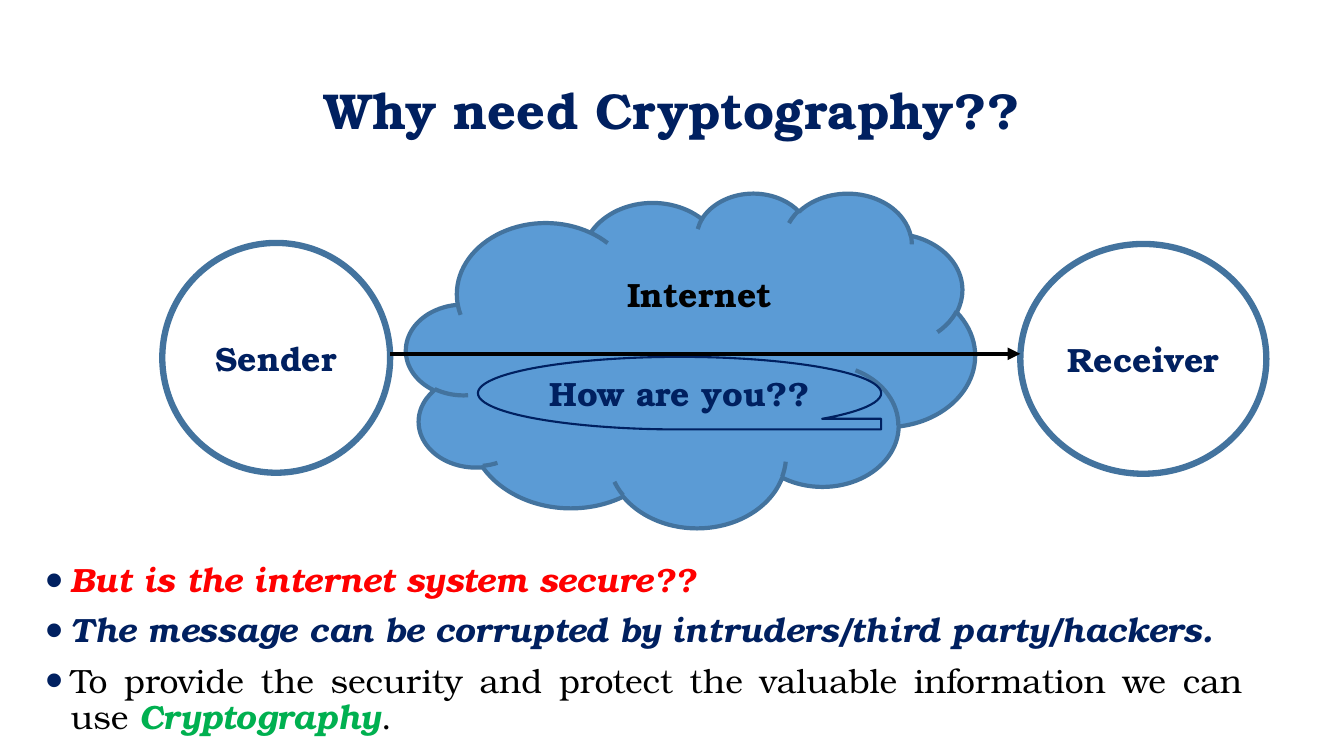
import pptx
import pptx.util
import pptx.dml.color
import pptx.enum.shapes
import pptx.enum.text
import pptx.oxml
import pptx.oxml.ns

Inches = pptx.util.Inches
Pt = pptx.util.Pt
SHAPE = pptx.enum.shapes.MSO_SHAPE
ALIGN = pptx.enum.text.PP_ALIGN
ANCHOR = pptx.enum.text.MSO_ANCHOR

COLORS = {
    "navy": "002060",
    "red": "FF0000",
    "green": "00B050",
    "black": "000000",
    "cloud": "5B9BD5",
    "outline": "43739E",
}
BASE_FONT = {"name": "TeX Gyre Bonum", "size": Pt(24), "bold": True, "italic": False}
EMPHASIS = {"italic": True}
PLAIN = {"bold": False}
BULLETS = [
    [("But is the internet system secure??", "red", EMPHASIS)],
    [("The message can be corrupted by intruders/third party/hackers.", "navy", EMPHASIS)],
    [
        ("To provide the security and protect the valuable information we can use ", "black", PLAIN),
        ("Cryptography", "green", EMPHASIS),
        (".", "black", PLAIN),
    ],
]


def rgb(color):
    return pptx.dml.color.RGBColor.from_string(COLORS[color])


def set_attrs(obj, values):
    for name, value in values.items():
        setattr(obj, name, value)


def place(sp, left, top, width, height):
    box = {"left": left, "top": top, "width": width, "height": height}
    set_attrs(sp, {name: Inches(value) for name, value in box.items()})


def add_run(p, text, color, **fmt):
    r = p.add_run()
    r.text = text
    set_attrs(r.font, {**BASE_FONT, **fmt})
    r.font.color.rgb = rgb(color)


def add_label(sp, text, color="navy", **fmt):
    tf = sp.text_frame
    set_attrs(tf, {"word_wrap": True, "vertical_anchor": ANCHOR.MIDDLE})
    p = tf.paragraphs[0]
    p.alignment = ALIGN.CENTER
    add_run(p, text, color, **fmt)


def add_figure(slide, kind, box, line, weight, fill=None, text=None):
    sp = slide.shapes.add_shape(kind, *map(Inches, box))
    sp.shadow.inherit = False
    if fill:
        sp.fill.solid()
        sp.fill.fore_color.rgb = rgb(fill)
    else:
        sp.fill.background()
    sp.line.color.rgb = rgb(line)
    sp.line.width = Pt(weight)
    if text:
        add_label(sp, text)


def add_arrow(slide, start, end, color, weight):
    points = map(Inches, (*start, *end))
    cxn = slide.shapes.add_connector(pptx.enum.shapes.MSO_CONNECTOR.STRAIGHT, *points)
    cxn.line.color.rgb = rgb(color)
    cxn.line.width = Pt(weight)
    ns = pptx.oxml.ns.nsdecls("a")
    ln = cxn.line._get_or_add_ln()
    ln.append(pptx.oxml.parse_xml(f'<a:tailEnd {ns} type="triangle"/>'))
    cxn._element.spPr.append(pptx.oxml.parse_xml(f"<a:effectLst {ns}/>"))


def set_bullet(p):
    pPr = p._p.get_or_add_pPr()
    set_attrs(pPr, {})
    pPr.set("marL", str(Inches(0.25)))
    pPr.set("indent", str(-Inches(0.25)))
    ns = pptx.oxml.ns.nsdecls("a")
    for xml in (
        f'<a:buClr {ns}><a:srgbClr val="{COLORS["navy"]}"/></a:buClr>',
        f'<a:buSzPct {ns} val="150000"/>',
        f'<a:buFont {ns} typeface="Arial"/>',
        f'<a:buChar {ns} char="•"/>',
    ):
        pPr.append(pptx.oxml.parse_xml(xml))


def fill_bullets(sp, bullets):
    tf = sp.text_frame
    set_attrs(tf, {"word_wrap": True, "auto_size": pptx.enum.text.MSO_AUTO_SIZE.NONE})
    for i, runs in enumerate(bullets):
        p = tf.add_paragraph() if i else tf.paragraphs[0]
        set_attrs(p, {
            "alignment": ALIGN.JUSTIFY,
            "line_spacing": 0.9,
            "space_before": Pt(10 if i else 0),
        })
        set_bullet(p)
        for text, color, fmt in runs:
            add_run(p, text, color, **fmt)


def main():
    prs = pptx.Presentation()
    set_attrs(prs, {"slide_width": Inches(13.33), "slide_height": Inches(7.5)})
    slide = prs.slides.add_slide(prs.slide_layouts[1])

    title, body = slide.placeholders
    place(title, 0.92, 0.4, 11.5, 1.45)
    add_label(title, "Why need Cryptography??", size=Pt(36))
    title.text_frame.paragraphs[0].line_spacing = 0.9
    place(body, 0.35, 5.54, 12.07, 1.96)
    fill_bullets(body, BULLETS)

    add_figure(slide, SHAPE.CLOUD, (4.03, 1.91, 5.64, 3.32), "outline", 3, fill="cloud")
    add_figure(slide, SHAPE.OVAL, (1.61, 2.41, 2.26, 2.28), "outline", 4.5, text="Sender")
    add_figure(slide, SHAPE.OVAL, (10.12, 2.42, 2.44, 2.28), "outline", 4.5, text="Receiver")
    add_figure(slide, SHAPE.FLOWCHART_SEQUENTIAL_ACCESS_STORAGE, (4.74, 3.54, 4, 0.72),
               "navy", 1.5, text="How are you??")
    internet = slide.shapes.add_textbox(*map(Inches, (6.08, 2.67, 1.72, 0.5)))
    add_label(internet, "Internet", "black")
    add_arrow(slide, (3.87, 3.51), (10.12, 3.51), "black", 3)

    prs.save("out.pptx")


main()
